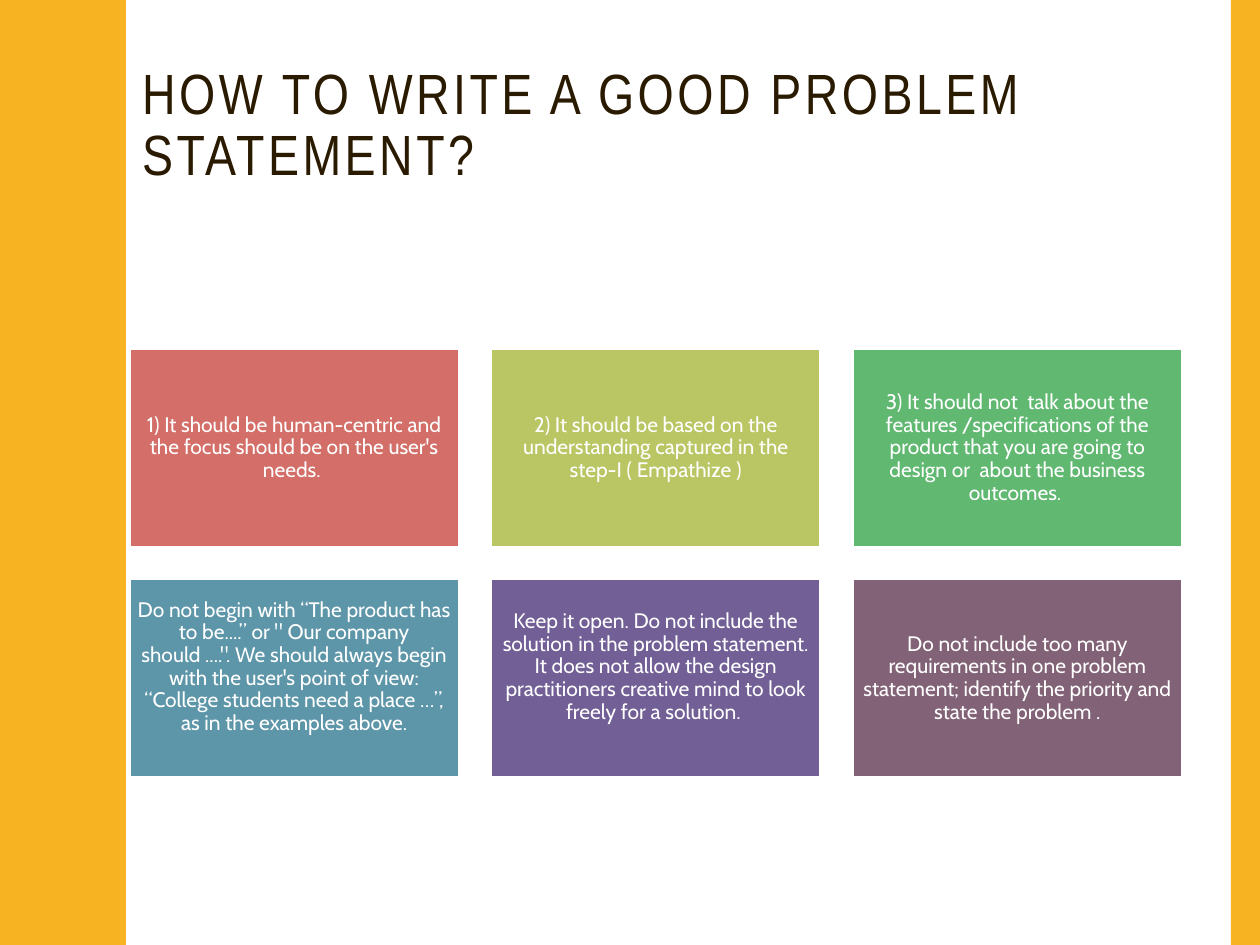
from pptx import Presentation
from pptx.dml.color import RGBColor
from pptx.enum.shapes import MSO_SHAPE
from pptx.enum.text import MSO_ANCHOR, PP_ALIGN
from pptx.util import Inches, Pt

RECTANGLE = MSO_SHAPE.RECTANGLE
MIDDLE = MSO_ANCHOR.MIDDLE
LEFT, CENTER = PP_ALIGN.LEFT, PP_ALIGN.CENTER

WIDTH, HEIGHT = 10, 7.5
BLANK_LAYOUT = 6
COLORS = {
    "white": "FFFFFF", "title": "2A1A00", "band": "F8B323",
    "red": "D36F68", "lime": "BAC663", "green": "60B871",
    "blue": "5E96A9", "violet": "715F96", "plum": "826276",
}

GRID = {"left": 1.03, "top": 2.77, "columns": 3, "column_step": 2.87, "row_step": 1.83}
CARD_WIDTH, CARD_HEIGHT = 2.61, 1.57
CARD_INSET, RAISED_INSET = 0.05, 0.23

WAVE_PERIOD = 1.5
HALF_WAVE = [
    (0.58, 0), (0.58, 0.07), (0.59, 0.14), (0.6, 0.2), (0.61, 0.25),
    (0.62, 0.29), (0.64, 0.33), (0.65, 0.38), (0.67, 0.42), (0.68, 0.46),
    (0.7, 0.5), (0.71, 0.55), (0.72, 0.61), (0.72, 0.68), (0.73, 0.75),
]

TITLE = "HOW TO WRITE A GOOD PROBLEM STATEMENT?"
TITLE_FONT = {"name": "Arial Narrow", "size": Pt(32.4)}
CARD_FONT = {"name": "Cabin", "size": Pt(12)}
CARDS = [
    ("red", CARD_INSET,
     "1) It should be human-centric and the focus should be on the user's needs. "),
    ("lime", CARD_INSET,
     "2) It should be based on the understanding captured in the step-I ( Empathize )"),
    ("green", CARD_INSET,
     "3) It should not  talk about the features /specifications of the product that "
     "you are going to design or  about the business outcomes. "),
    ("blue", RAISED_INSET,
     "Do not begin with “The product has to be....” or \" Our company should ....\". "
     "We should always begin with the user's point of view: “College students need "
     "a place …”, as in the examples above."),
    ("violet", RAISED_INSET,
     "Keep it open. Do not include the solution in the problem statement. It does not "
     "allow the design practitioners creative mind to look freely for a solution. "),
    ("plum", CARD_INSET,
     "Do not include too many requirements in one problem statement; identify the "
     "priority and state the problem ."),
]


def color(name):
    """Return the named colour."""
    return RGBColor.from_string(COLORS[name])


def paint(shape, fill, line=None):
    """Give a shape a flat fill and an optional one-point outline."""
    shape.shadow.inherit = False
    shape.fill.solid()
    shape.fill.fore_color.rgb = color(fill)
    if line:
        shape.line.color.rgb = color(line)
        shape.line.width = Pt(1)
    else:
        shape.line.fill.background()


def add_rectangle(slide, box, fill, line=None):
    """Add a painted rectangle at a box given in inches."""
    shape = slide.shapes.add_shape(RECTANGLE, *map(Inches, box))
    paint(shape, fill, line)
    return shape


def write(shape, text, font, font_color, alignment, insets):
    """Write one paragraph, centred vertically, and return its run."""
    frame = shape.text_frame
    settings = {"word_wrap": True, "vertical_anchor": MIDDLE}
    sides = ("margin_left", "margin_top", "margin_right", "margin_bottom")
    settings.update(zip(sides, map(Inches, insets)))
    for name, value in settings.items():
        setattr(frame, name, value)
    paragraph = frame.paragraphs[0]
    paragraph.alignment = alignment
    paragraph.line_spacing = 0.9
    run = paragraph.add_run()
    run.text = text
    for name, value in font.items():
        setattr(run.font, name, value)
    run.font.color.rgb = color(font_color)
    return run


def add_wave_band(slide):
    """Add the left band whose right edge repeats one mirrored half wave."""
    wave = HALF_WAVE + [(x, WAVE_PERIOD - y) for x, y in HALF_WAVE[-2::-1]]
    count = round(HEIGHT / WAVE_PERIOD)
    edge = [(x, y + index * WAVE_PERIOD) for index in range(count) for x, y in wave]
    builder = slide.shapes.build_freeform(0, 0, scale=Inches(1))
    builder.add_line_segments(edge + [(0, HEIGHT)], close=True)
    paint(builder.convert_to_shape(), "band")


def add_title(slide):
    """Add the letter-spaced title."""
    box = slide.shapes.add_textbox(*map(Inches, (1.03, 0.43, 8.35, 1.63)))
    run = write(box, TITLE, TITLE_FONT, "title", LEFT, (0.1, 0.05, 0.1, 0.53))
    run._r.get_or_add_rPr().set("spc", "200")


def add_card(slide, index, fill, bottom_inset, text):
    """Add one advice card in its grid cell."""
    row, column = divmod(index, GRID["columns"])
    left = GRID["left"] + column * GRID["column_step"]
    top = GRID["top"] + row * GRID["row_step"]
    card = add_rectangle(slide, (left, top, CARD_WIDTH, CARD_HEIGHT), fill, "white")
    insets = (CARD_INSET, CARD_INSET, CARD_INSET, bottom_inset)
    write(card, text, CARD_FONT, "white", CENTER, insets)


def main():
    """Build and save the slide."""
    presentation = Presentation()
    presentation.slide_width = Inches(WIDTH)
    presentation.slide_height = Inches(HEIGHT)
    slide = presentation.slides.add_slide(presentation.slide_layouts[BLANK_LAYOUT])
    slide.background.fill.solid()
    slide.background.fill.fore_color.rgb = color("white")
    add_title(slide)
    add_wave_band(slide)
    add_rectangle(slide, (9.77, 0, 0.23, HEIGHT), "band")
    for index, card in enumerate(CARDS):
        add_card(slide, index, *card)
    presentation.save("out.pptx")


if __name__ == "__main__":
    main()
